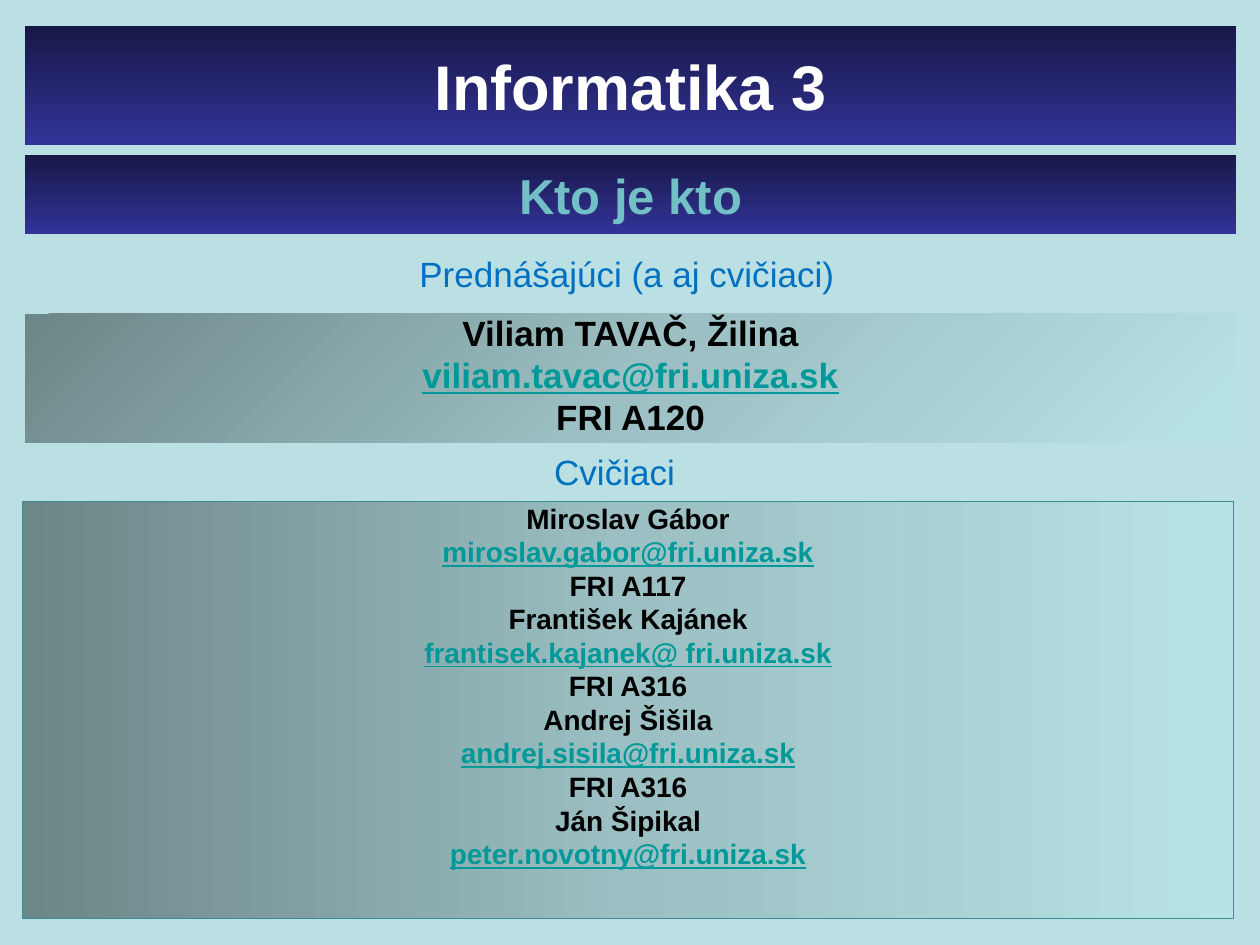
import pptx
import pptx.util
import pptx.oxml
import pptx.oxml.ns
import pptx.dml.color
import pptx.enum.text
import pptx.enum.shapes

Inches, Pt = pptx.util.Inches, pptx.util.Pt
PP_ALIGN = pptx.enum.text.PP_ALIGN
ANCHOR = pptx.enum.text.MSO_ANCHOR
AUTO_SIZE = pptx.enum.text.MSO_AUTO_SIZE

COLORS = {
    "background": "BBE0E3",
    "banner_top": "181847",
    "banner_bottom": "333399",
    "panel_dark": "6D8688",
    "panel_mid": "9BBFC2",
    "panel_light": "B8E3E6",
    "border": "3C8C93",
    "title": "FFFFFF",
    "subtitle": "72BFC5",
    "heading": "0070C0",
    "text": "000000",
    "email": "009999",
}
BANNER = ("banner_top", "banner_bottom")
PANEL = ("panel_dark", "panel_mid", "panel_light")
LEFT, WIDTH = 0.2, 9.61

LECTURER = ["Viliam TAVAČ, Žilina", "viliam.tavac@fri.uniza.sk", "FRI A120"]
TUTORS = [
    "Miroslav Gábor", "miroslav.gabor@fri.uniza.sk", "FRI A117",
    "František Kajánek", "frantisek.kajanek@ fri.uniza.sk", "FRI A316",
    "Andrej Šišila", "andrej.sisila@fri.uniza.sk", "FRI A316",
    "Ján Šipikal", "peter.novotny@fri.uniza.sk",
]


def rgb(name):
    return pptx.dml.color.RGBColor.from_string(COLORS[name])


def place(sp, left, top, width, height):
    sp.left, sp.top = Inches(left), Inches(top)
    sp.width, sp.height = Inches(width), Inches(height)


def set_gradient(sp, names, angle):
    sp.fill.gradient()
    grad = sp._element.spPr.find(pptx.oxml.ns.qn("a:gradFill"))
    step = 100000 // (len(names) - 1)
    stops = "".join(
        f'<a:gs pos="{i * step}"><a:srgbClr val="{COLORS[name]}"/></a:gs>'
        for i, name in enumerate(names))
    new = pptx.oxml.parse_xml(
        f'<a:gradFill {pptx.oxml.ns.nsdecls("a")} rotWithShape="1">'
        f'<a:gsLst>{stops}</a:gsLst>'
        f'<a:lin ang="{angle * 60000}" scaled="1"/></a:gradFill>')
    grad.getparent().replace(grad, new)


def add_rectangle(s, top, height):
    sp = s.shapes.add_shape(
        pptx.enum.shapes.MSO_SHAPE.RECTANGLE,
        Inches(LEFT), Inches(top), Inches(WIDTH), Inches(height))
    sp.shadow.inherit = False
    sp.line.fill.background()
    return sp


def format_font(p, size, color, bold):
    p.font.name = "Arial"
    p.font.size = Pt(size)
    p.font.bold = bold
    p.font.color.rgb = rgb(color)


def fill_banner(sp, text, size, color):
    set_gradient(sp, BANNER, 90)
    tf = sp.text_frame
    tf.auto_size = AUTO_SIZE.NONE
    tf.vertical_anchor = ANCHOR.MIDDLE
    p = tf.paragraphs[0]
    p.text = text
    p.alignment = PP_ALIGN.CENTER
    format_font(p, size, color, True)


def fill_panel(sp, lines, size, angle):
    set_gradient(sp, PANEL, angle)
    tf = sp.text_frame
    tf.auto_size = AUTO_SIZE.NONE
    tf.vertical_anchor = ANCHOR.TOP
    tf.text = "\n".join(lines)
    for p in tf.paragraphs:
        email = "@" in p.text
        format_font(p, size, "email" if email else "text", True)
        p.font.underline = email
        p.alignment = PP_ALIGN.CENTER
        p.line_spacing = 0.8
        p.space_before = Pt(round(size * 0.24, 1))
        pPr = p._p.get_or_add_pPr()
        pPr.set("marL", "0")
        pPr.set("indent", "0")
        bullet = pptx.oxml.parse_xml(f'<a:buNone {pptx.oxml.ns.nsdecls("a")}/>')
        pPr.find(pptx.oxml.ns.qn("a:defRPr")).addprevious(bullet)


def add_heading(s, text, left, top, width):
    sp = s.shapes.add_textbox(Inches(left), Inches(top), Inches(width), Inches(0.37))
    tf = sp.text_frame
    tf.word_wrap = True
    p = tf.paragraphs[0]
    p.text = text
    p.line_spacing = 0.8
    format_font(p, 20, "heading", False)


def main():
    prs = pptx.Presentation()
    prs.slide_width, prs.slide_height = Inches(10), Inches(7.5)
    s = prs.slides.add_slide(prs.slide_layouts[1])
    s.background.fill.solid()
    s.background.fill.fore_color.rgb = rgb("background")

    title, tutors = s.placeholders
    place(title, LEFT, 0.21, WIDTH, 0.94)
    fill_banner(title, "Informatika 3", 36, "title")
    fill_banner(add_rectangle(s, 1.23, 0.63), "Kto je kto", 28, "subtitle")

    add_heading(s, "Prednášajúci (a aj cvičiaci)", 3.23, 2.02, 3.54)
    fill_panel(add_rectangle(s, 2.49, 1.02), LECTURER, 20, 45)

    add_heading(s, "Cvičiaci", 4.3, 3.59, 1.3)
    place(tutors, 0.18, 3.98, WIDTH, 3.31)
    fill_panel(tutors, TUTORS, 16, 0)
    tutors.line.color.rgb = rgb("border")
    tutors.line.width = Pt(0.75)

    prs.save("out.pptx")


main()
